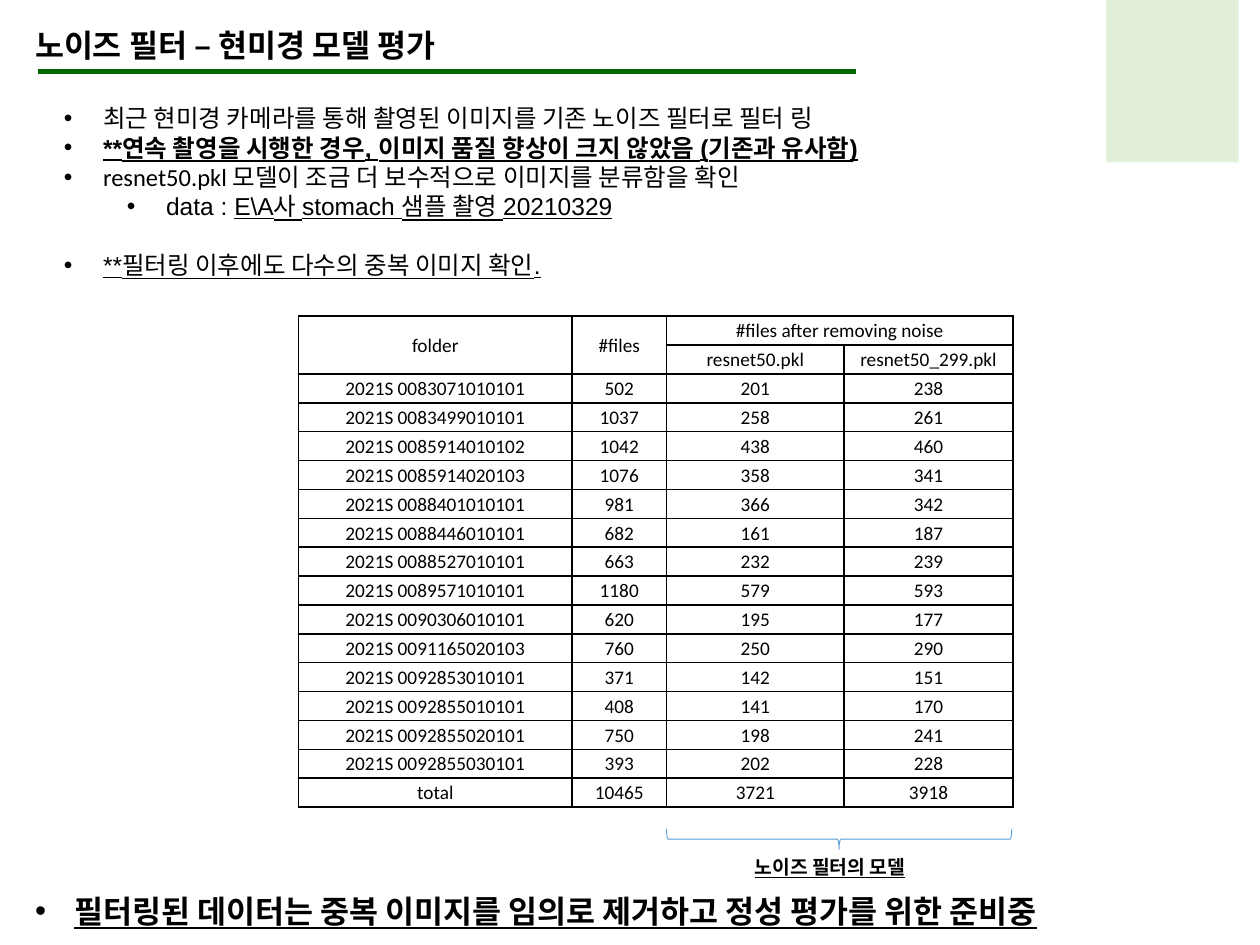
from lxml import etree
from pptx import Presentation
from pptx.dml.color import RGBColor
from pptx.enum.shapes import MSO_CONNECTOR, MSO_SHAPE
from pptx.enum.text import MSO_ANCHOR, MSO_AUTO_SIZE, PP_ALIGN
from pptx.oxml.ns import qn
from pptx.util import Inches, Pt

RECTANGLE = MSO_SHAPE.RECTANGLE
LEFT_BRACE = MSO_SHAPE.LEFT_BRACE
STRAIGHT = MSO_CONNECTOR.STRAIGHT
FIT_SHAPE = MSO_AUTO_SIZE.SHAPE_TO_FIT_TEXT
MIDDLE = MSO_ANCHOR.MIDDLE
CENTER = PP_ALIGN.CENTER

BLACK = "000000"
WHITE = "FFFFFF"
COLUMN_WIDTHS = [2.17, 0.75, 1.41, 1.34]
TABLE_ROWS = [
    ["folder", "#files", "#files after removing noise", ""],
    ["", "", "resnet50.pkl", "resnet50_299.pkl"],
    ["2021S 0083071010101", "502", "201", "238"],
    ["2021S 0083499010101", "1037", "258", "261"],
    ["2021S 0085914010102", "1042", "438", "460"],
    ["2021S 0085914020103", "1076", "358", "341"],
    ["2021S 0088401010101", "981", "366", "342"],
    ["2021S 0088446010101", "682", "161", "187"],
    ["2021S 0088527010101", "663", "232", "239"],
    ["2021S 0089571010101", "1180", "579", "593"],
    ["2021S 0090306010101", "620", "195", "177"],
    ["2021S 0091165020103", "760", "250", "290"],
    ["2021S 0092853010101", "371", "142", "151"],
    ["2021S 0092855010101", "408", "141", "170"],
    ["2021S 0092855020101", "750", "198", "241"],
    ["2021S 0092855030101", "393", "202", "228"],
    ["total", "10465", "3721", "3918"],
]


def color(value):
    """Return the RGB colour for a hex string."""
    return RGBColor.from_string(value)


def add_run(paragraph, text, size, font="Calibri", bold=False, underline=False):
    """Add one formatted run to a paragraph."""
    run = paragraph.add_run()
    run.text = text
    run.font.size = Pt(size)
    run.font.name = font
    run.font.bold = bold
    run.font.underline = underline
    run.font.color.rgb = color(BLACK)


def add_bullet(paragraph, level=0):
    """Give a paragraph a round bullet with a hanging indent."""
    paragraph.level = level
    properties = paragraph._p.get_or_add_pPr()
    properties.set("marL", str(Inches(0.31 + 0.5 * level)))
    properties.set("indent", str(Inches(-0.31)))
    etree.SubElement(properties, qn("a:buFont")).set("typeface", "Arial")
    etree.SubElement(properties, qn("a:buChar")).set("char", "•")


def add_text_box(slide, left, top, width, height):
    """Add a wrapping text box and return its text frame."""
    box = slide.shapes.add_textbox(Inches(left), Inches(top), Inches(width), Inches(height))
    frame = box.text_frame
    frame.word_wrap = True
    frame.auto_size = FIT_SHAPE
    return frame


def add_findings(slide):
    """Add the bulleted list of findings."""
    frame = add_text_box(slide, 0.41, 0.77, 8.33, 1.51)
    findings = [
        (0, [("최근 현미경 카메라를 통해 촬영된 이미지를 기존 노이즈 필터로 필터 링", {})]),
        (0, [("**연속 촬영을 시행한 경우, 이미지 품질 향상이 크지 않았음 (기존과 유사함)",
              {"bold": True, "underline": True})]),
        (0, [("resnet50.pkl 모델이 조금 더 보수적으로 이미지를 분류함을 확인", {"font": "Calibri"})]),
        (1, [("data : ", {}), (r"E\A사 stomach 샘플 촬영 20210329", {"underline": True})]),
        (0, [("**필터링 이후에도 다수의 중복 이미지 확인.", {"underline": True})]),
    ]
    for index, (level, runs) in enumerate(findings):
        paragraph = frame.add_paragraph() if index else frame.paragraphs[0]
        add_bullet(paragraph, level)
        for text, style in runs:
            add_run(paragraph, text, 14, **{"font": "Arial", **style})
    frame.paragraphs[-1].space_before = Pt(16.8)


def add_borders(cell):
    """Draw a thin black line on every side of a cell."""
    properties = cell._tc.get_or_add_tcPr()
    for side in ("a:lnL", "a:lnR", "a:lnT", "a:lnB"):
        line = etree.SubElement(properties, qn(side), w=str(Pt(1)))
        fill = etree.SubElement(line, qn("a:solidFill"))
        etree.SubElement(fill, qn("a:srgbClr")).set("val", BLACK)


def fill_cell(cell, text):
    """Format one table cell and write its text."""
    add_borders(cell)
    cell.fill.solid()
    cell.fill.fore_color.rgb = color(WHITE)
    cell.vertical_anchor = MIDDLE
    cell.margin_left = cell.margin_right = cell.margin_top = Inches(0.01)
    cell.margin_bottom = 0
    paragraph = cell.text_frame.paragraphs[0]
    paragraph.alignment = CENTER
    if text:
        add_run(paragraph, text, 11)


def add_results_table(slide):
    """Add the table of file counts per folder."""
    frame = slide.shapes.add_table(
        len(TABLE_ROWS), len(COLUMN_WIDTHS),
        Inches(2.37), Inches(2.51), Inches(sum(COLUMN_WIDTHS)), Inches(3.9))
    table = frame.table
    for column, width in zip(table.columns, COLUMN_WIDTHS):
        column.width = Inches(width)
    for row, texts in zip(table.rows, TABLE_ROWS):
        for cell, text in zip(row.cells, texts):
            fill_cell(cell, text)
    for column in (0, 1):
        table.cell(0, column).merge(table.cell(1, column))
    table.cell(0, 2).merge(table.cell(0, 3))


def add_corner_block(slide):
    """Add the pale green block at the top right."""
    block = slide.shapes.add_shape(
        RECTANGLE, Inches(8.78), Inches(-0.15), Inches(1.05), Inches(1.44))
    block.shadow.inherit = False
    block.fill.solid()
    block.fill.fore_color.rgb = color("E2F0D9")
    block.line.fill.background()


def add_title_rule(slide):
    """Add the green line under the title."""
    rule = slide.shapes.add_connector(
        STRAIGHT, Inches(0.3), Inches(0.57), Inches(6.79), Inches(0.57))
    rule.line.color.rgb = color("006600")
    rule.line.width = Pt(3)
    etree.SubElement(rule._element.spPr, qn("a:effectLst"))


def add_brace(slide):
    """Add the brace that groups the two model columns."""
    brace = slide.shapes.add_shape(
        LEFT_BRACE, Inches(6.58), Inches(5.29), Inches(0.16), Inches(2.74))
    brace.rotation = 270
    brace.shadow.inherit = False
    brace.fill.background()
    brace.line.color.rgb = color("5B9BD5")
    brace.line.width = Pt(0.5)


def main():
    """Build the slide and save it."""
    presentation = Presentation()
    presentation.slide_width = Inches(10)
    presentation.slide_height = Inches(7.5)
    slide = presentation.slides.add_slide(presentation.slide_layouts[6])

    add_corner_block(slide)
    title = add_text_box(slide, 0.18, 0.16, 3.96, 0.4).paragraphs[0]
    add_run(title, "노이즈 필터 – 현미경 모델 평가", 18, bold=True)
    add_title_rule(slide)
    add_findings(slide)
    add_results_table(slide)
    add_brace(slide)
    label = add_text_box(slide, 5.89, 6.74, 1.63, 0.29).paragraphs[0]
    add_run(label, "노이즈 필터의 모델", 11, bold=True, underline=True)
    conclusion = add_text_box(slide, 0.18, 7.03, 9.27, 0.4).paragraphs[0]
    add_bullet(conclusion)
    add_run(conclusion, "필터링된 데이터는 중복 이미지를 임의로 제거하고 정성 평가를 위한 준비중",
            18, font="Arial", bold=True, underline=True)

    presentation.save("out.pptx")


if __name__ == "__main__":
    main()
